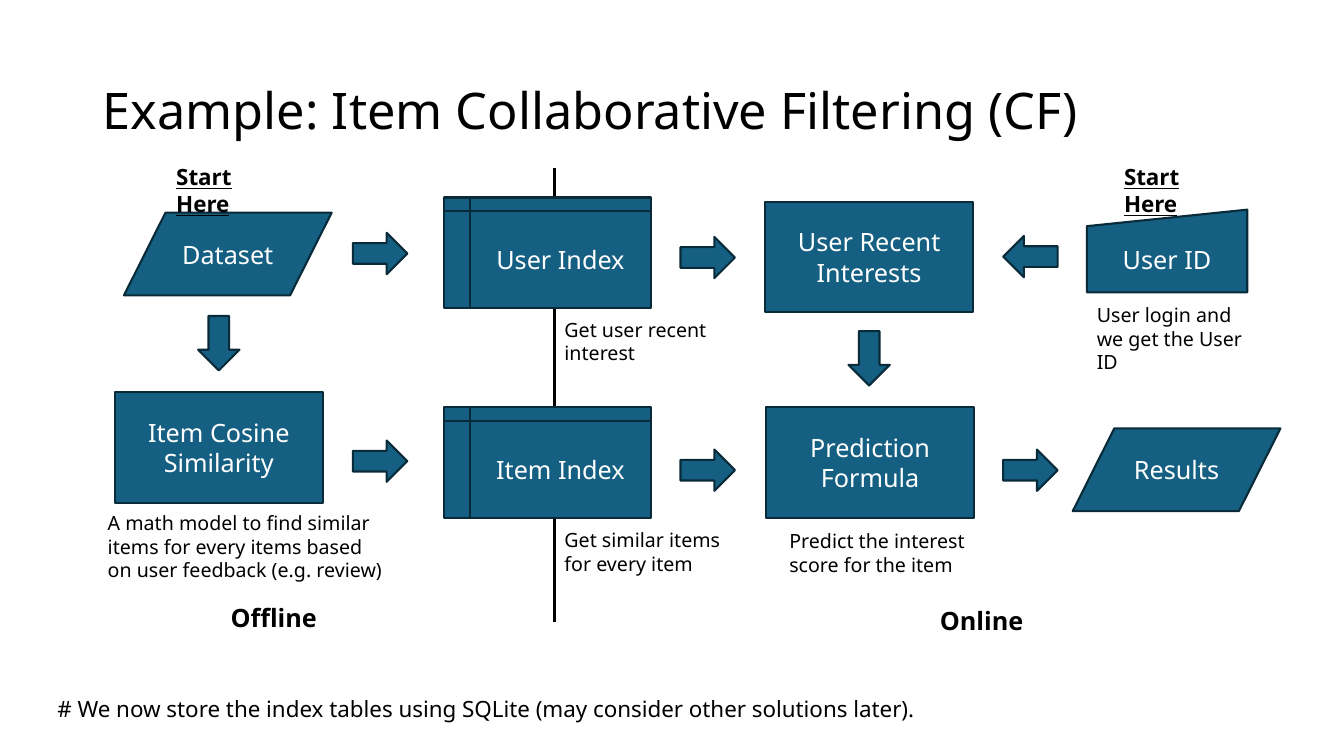
from lxml import etree
from pptx import Presentation
from pptx.dml.color import RGBColor
from pptx.enum.shapes import MSO_CONNECTOR, MSO_SHAPE
from pptx.enum.text import MSO_ANCHOR, MSO_AUTO_SIZE, PP_ALIGN
from pptx.oxml.ns import qn
from pptx.util import Inches, Pt

PROCESS = MSO_SHAPE.FLOWCHART_PROCESS
DATA = MSO_SHAPE.FLOWCHART_DATA
STORAGE = MSO_SHAPE.FLOWCHART_INTERNAL_STORAGE
MANUAL = MSO_SHAPE.FLOWCHART_MANUAL_INPUT
ARROW = MSO_SHAPE.RIGHT_ARROW
LEFT, CENTER = PP_ALIGN.LEFT, PP_ALIGN.CENTER
MIDDLE = MSO_ANCHOR.MIDDLE

TEAL = RGBColor(0x15, 0x60, 0x82)
DARK = RGBColor(0x09, 0x2A, 0x39)
BLACK = RGBColor(0, 0, 0)
WHITE = RGBColor(255, 255, 255)

TITLE = {"size": Pt(36), "bold": False}
NODE = {"size": Pt(18)}
SIDE = {"size": Pt(18), "bold": True}
START = {"size": Pt(16), "bold": True, "underline": True}
FOOT = {"size": Pt(16)}
NOTE = {"size": Pt(14)}

BOX_W, BOX_H, LOW_H = 2.06, 1.1, 0.82
ARROW_W, ARROW_H = 0.54, 0.41
RIGHT_WAY, DOWN, LEFT_WAY = 0, 90, 180


def write(tf, text, style, color=BLACK, align=LEFT):
    tf.word_wrap = True
    p = tf.paragraphs[0]
    p.alignment = align
    r = p.add_run()
    r.text = text
    r.font.name = "Noto Sans"
    r.font.color.rgb = color
    for name, value in style.items():
        setattr(r.font, name, value)
    return p


def add_label(s, x, y, w, h, text, style, align=LEFT):
    tf = s.shapes.add_textbox(Inches(x), Inches(y), Inches(w), Inches(h)).text_frame
    write(tf, text, style, align=align)
    tf.auto_size = MSO_AUTO_SIZE.SHAPE_TO_FIT_TEXT


def add_block(s, kind, x, y, w, h):
    sp = s.shapes.add_shape(kind, Inches(x), Inches(y), Inches(w), Inches(h))
    sp.shadow.inherit = False
    sp.fill.solid()
    sp.fill.fore_color.rgb = TEAL
    sp.line.color.rgb = DARK
    sp.line.width = Pt(1.5)
    return sp


def add_node(s, kind, x, y, text, w=BOX_W, h=BOX_H):
    tf = add_block(s, kind, x, y, w, h).text_frame
    tf.vertical_anchor = MIDDLE
    write(tf, text, NODE, WHITE, CENTER)


def add_arrow(s, x, y, turn=RIGHT_WAY):
    add_block(s, ARROW, x, y, ARROW_W, ARROW_H).rotation = turn


def add_title(s, x, y, w, h):
    sp = s.shapes.title
    sp.left, sp.top, sp.width, sp.height = (Inches(v) for v in (x, y, w, h))
    tf = sp.text_frame
    tf.vertical_anchor = MIDDLE
    p = write(tf, "Example: Item Collaborative Filtering (CF)", TITLE)
    p.line_spacing = 0.9


def add_divider(s, x, top, bottom):
    line = s.shapes.add_connector(
        MSO_CONNECTOR.STRAIGHT, Inches(x), Inches(top), Inches(x), Inches(bottom))
    line.line.color.rgb = BLACK
    line.line.width = Pt(2.25)
    etree.SubElement(line._element.spPr, qn("a:effectLst"))


def add_offline(s, x, y):
    """Dataset, similarity model and the two index tables."""
    # Nodes
    add_node(s, DATA, x + 0.23, y + 0.61, "Dataset", h=LOW_H)
    add_node(s, PROCESS, x + 0.14, y + 2.39, "Item Cosine Similarity")
    add_node(s, STORAGE, x + 3.4, y + 0.46, "User Index")
    add_node(s, STORAGE, x + 3.4, y + 2.54, "Item Index")
    # Arrows
    add_arrow(s, x + 2.5, y + 0.81)
    add_arrow(s, x + 2.5, y + 2.87)
    add_arrow(s, x + 0.9, y + 1.7, DOWN)
    # Labels
    add_label(s, x + 0.65, y + 0.07, 1.24, 0.37, "Start Here", START)
    add_label(s, x - 0.03, y + 3.52, 2.98, 0.81,
              "A math model to find similar items for every items based "
              "on user feedback (e.g. review)", NOTE)
    add_label(s, x + 0.4, y + 4.43, 2.63, 0.4, "Offline", SIDE, CENTER)


def add_online(s, x, y):
    """From the user login to the predicted results."""
    # Nodes
    add_node(s, PROCESS, x + 2.09, y + 0.5, "User Recent Interests")
    add_node(s, PROCESS, x + 2.1, y + 2.54, "Prediction Formula")
    add_node(s, MANUAL, x + 5.28, y + 0.58, "User ID", 1.59, LOW_H)
    add_node(s, DATA, x + 5.14, y + 2.75, "Results", h=LOW_H)
    # Arrows
    add_arrow(s, x + 1.25, y + 0.85)
    add_arrow(s, x + 4.45, y + 0.84, LEFT_WAY)
    add_arrow(s, x + 2.85, y + 1.85, DOWN)
    for dx in (1.25, 4.45):
        add_arrow(s, x + dx, y + 2.96)
    # Labels
    add_label(s, x + 5.55, y + 0.07, 1.24, 0.37, "Start Here", START)
    for dx, dy, w, h, text in (
        (0, 1.6, 2.3, 0.34, "Get user recent interest"),
        (0, 3.69, 1.79, 0.57, "Get similar items for every item"),
        (2.23, 3.7, 2.19, 0.57, "Predict the interest score for the item"),
        (5.28, 1.46, 1.8, 0.57, "User login and we get the User ID"),
    ):
        add_label(s, x + dx, y + dy, w, h, text, NOTE)
    add_label(s, x + 2.92, y + 4.46, 2.63, 0.4, "Online", SIDE, CENTER)


def main():
    prs = Presentation()
    prs.slide_width, prs.slide_height = Inches(13.33), Inches(7.5)
    s = prs.slides.add_slide(prs.slide_layouts[5])
    add_divider(s, 5.5, 1.67, 6.17)
    add_title(s, 0.92, 0.4, 11.5, 1.45)
    add_offline(s, 1, 1.5)
    add_online(s, 5.5, 1.5)
    # Footnote
    add_label(s, 0.47, 6.85, 11.82, 0.37,
              "# We now store the index tables using SQLite "
              "(may consider other solutions later).", FOOT)
    prs.save("out.pptx")


if __name__ == "__main__":
    main()
